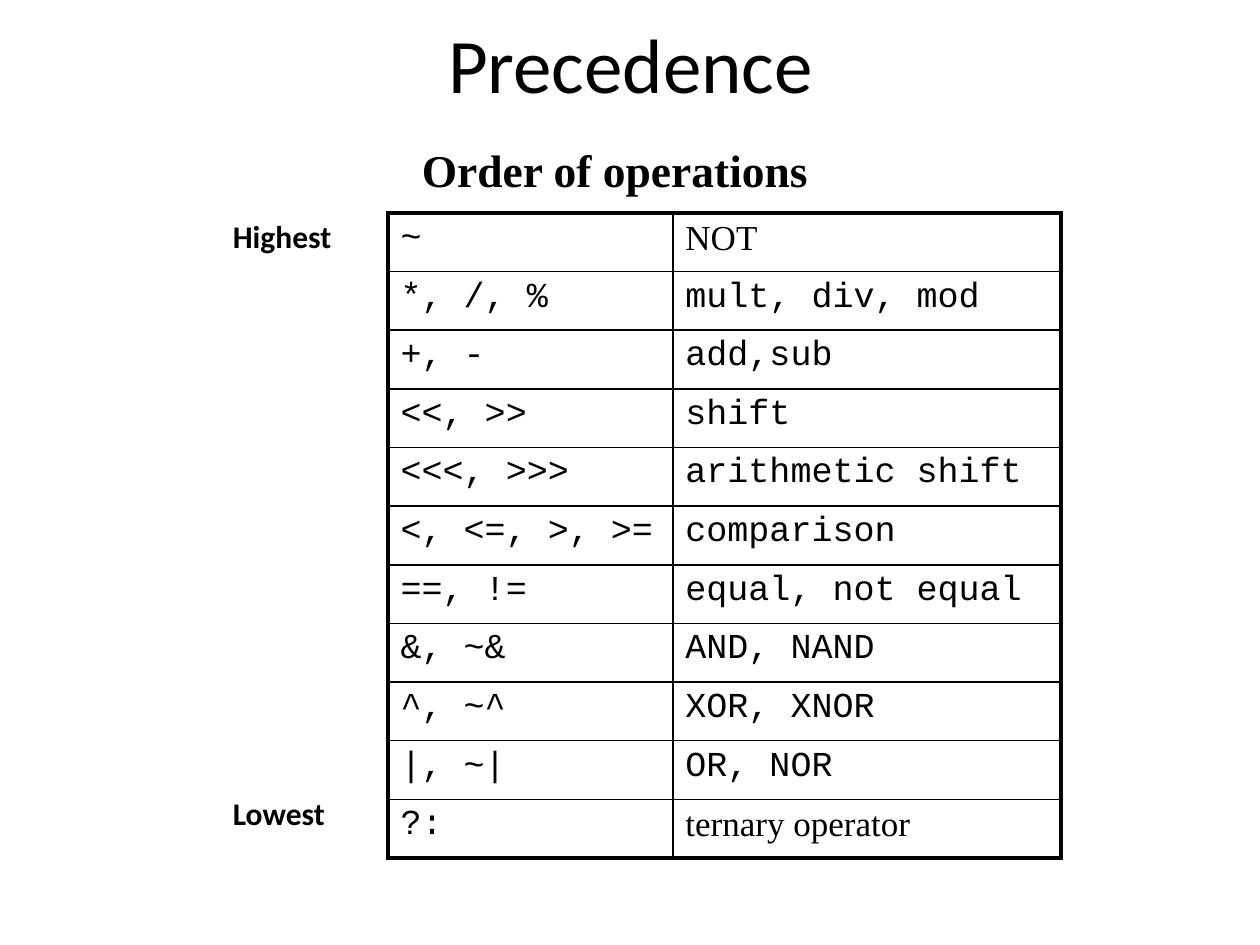
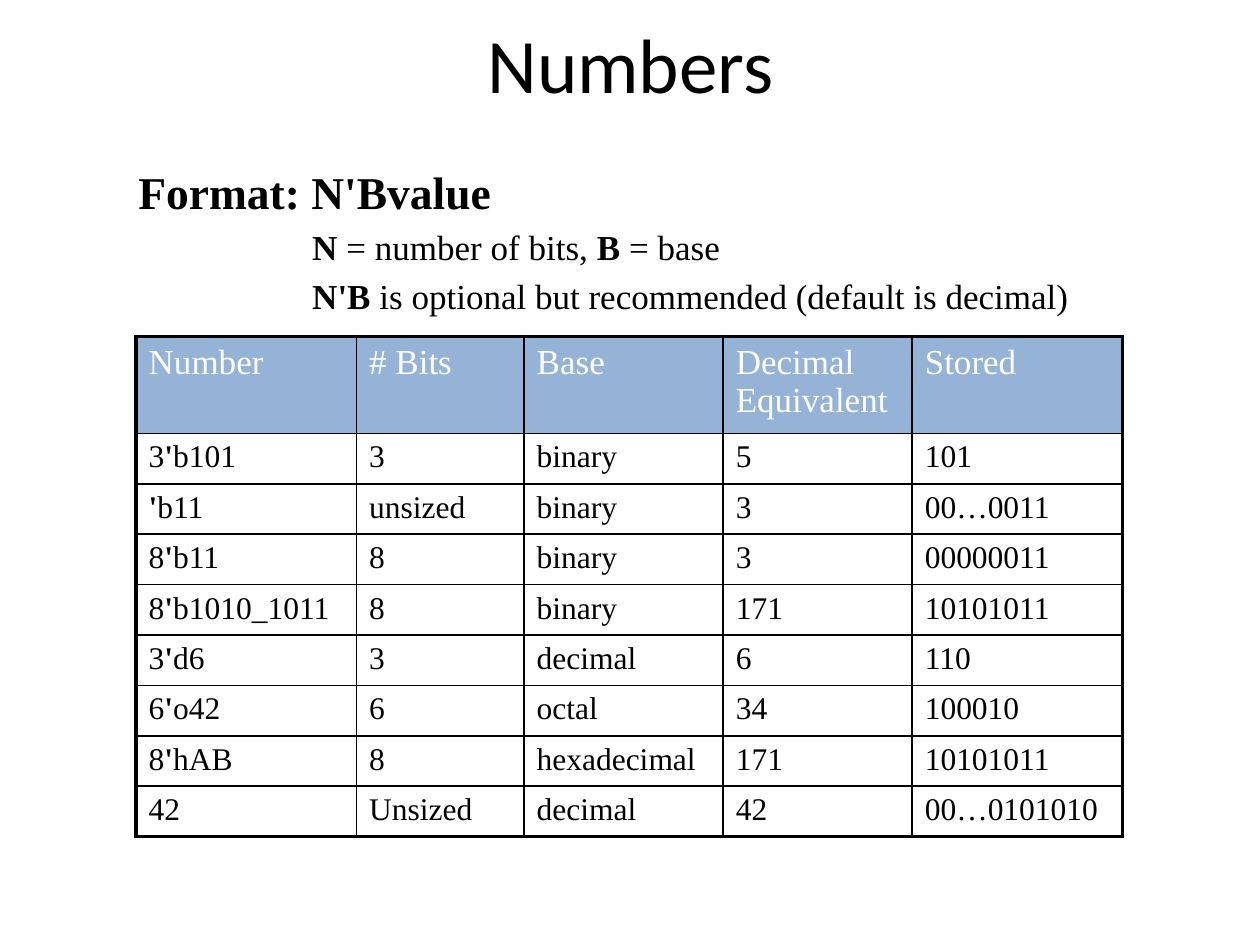
"""Build two lecture slides on operator precedence and number literals."""
from dataclasses import dataclass

from lxml import etree
from pptx import Presentation
from pptx.dml.color import RGBColor
from pptx.enum.text import MSO_ANCHOR, PP_ALIGN
from pptx.oxml.ns import qn
from pptx.util import Inches, Pt

CENTER = PP_ALIGN.CENTER
MIDDLE = MSO_ANCHOR.MIDDLE
TITLE_ONLY = 5

COLORS = {"ink": "000000", "paper": "FFFFFF", "header": "95B3D7"}
SANS, SERIF, MONO = "Calibri", "Times New Roman", "Courier New"
OUTER_LINE, INNER_LINE = Pt(2.25), Pt(1)


@dataclass(frozen=True)
class Line:
    """A paragraph whose pieces alternate between regular and bold."""
    pieces: tuple[str, ...]
    font: str = SERIF
    size: int = 20
    color: str = "ink"
    indent: float = 0
    before: float = 0


@dataclass(frozen=True)
class Note:
    """A text box with its place in inches."""
    left: float
    top: float
    width: float
    height: float
    lines: tuple[Line, ...]


@dataclass(frozen=True)
class Grid:
    """A bordered table with its place, column widths and row heights in inches."""
    left: float
    top: float
    columns: tuple[float, ...]
    heights: tuple[float, ...]
    rows: list[list[Line]]
    header_fill: str | None = None


def rgb(name: str) -> RGBColor:
    """Look up a named colour."""
    return RGBColor.from_string(COLORS[name])


def write_line(paragraph, line: Line) -> None:
    """Fill a paragraph, setting bold on every second piece."""
    if line.indent:
        paragraph._p.get_or_add_pPr().set("marL", str(Inches(line.indent)))
    if line.before:
        paragraph.space_before = Pt(line.before)
    paragraph.font.name = line.font
    paragraph.font.size = Pt(line.size)
    paragraph.font.color.rgb = rgb(line.color)
    for index, piece in enumerate(line.pieces):
        if piece:
            run = paragraph.add_run()
            run.text = piece
            run.font.bold = index % 2 == 1


def add_border(cell, side: str, width: int) -> None:
    """Draw one side of a cell."""
    border = etree.SubElement(cell._tc.get_or_add_tcPr(), qn(f"a:ln{side}"), w=str(width))
    fill = etree.SubElement(border, qn("a:solidFill"))
    etree.SubElement(fill, qn("a:srgbClr"), val=COLORS["ink"])


def add_titled_slide(deck, title: str):
    """Add a slide with the shared title style."""
    slide = deck.slides.add_slide(deck.slide_layouts[TITLE_ONLY])
    heading = slide.shapes.title
    heading.left, heading.top = Inches(0.67), Inches(0.08)
    heading.width, heading.height = Inches(8.67), Inches(0.84)
    heading.text_frame.vertical_anchor = MIDDLE
    paragraph = heading.text_frame.paragraphs[0]
    paragraph.alignment = CENTER
    write_line(paragraph, Line((title,), SANS, 44))
    return slide


def add_note(slide, note: Note) -> None:
    """Add a wrapped text box."""
    box = slide.shapes.add_textbox(
        Inches(note.left), Inches(note.top), Inches(note.width), Inches(note.height))
    frame = box.text_frame
    frame.word_wrap = True
    for index, line in enumerate(note.lines):
        write_line(frame.add_paragraph() if index else frame.paragraphs[0], line)


def add_grid(slide, grid: Grid) -> None:
    """Add a table with a heavy outline and thin inner lines."""
    last_row, last_column = len(grid.rows) - 1, len(grid.columns) - 1
    table = slide.shapes.add_table(
        len(grid.rows), len(grid.columns), Inches(grid.left), Inches(grid.top),
        Inches(sum(grid.columns)), Inches(sum(grid.heights))).table
    table.first_row = table.horz_banding = False
    for column, width in zip(table.columns, grid.columns):
        column.width = Inches(width)
    for row, height in zip(table.rows, grid.heights):
        row.height = Inches(height)
    for r, row_lines in enumerate(grid.rows):
        for c, line in enumerate(row_lines):
            cell = table.cell(r, c)
            edges = {"L": c == 0, "R": c == last_column, "T": r == 0, "B": r == last_row}
            for side, is_outer in edges.items():
                add_border(cell, side, OUTER_LINE if is_outer else INNER_LINE)
            if r == 0 and grid.header_fill:
                cell.fill.solid()
                cell.fill.fore_color.rgb = rgb(grid.header_fill)
            else:
                cell.fill.background()
            write_line(cell.text_frame.paragraphs[0], line)


OPERATORS = [
    ("~", "NOT"),
    ("*, /, %", "mult, div, mod"),
    ("+, -", "add,sub"),
    ("<<, >>", "shift"),
    ("<<<, >>>", "arithmetic shift"),
    ("<, <=, >, >=", "comparison"),
    ("==, !=", "equal, not equal"),
    ("&, ~&", "AND, NAND"),
    ("^, ~^", "XOR, XNOR"),
    ("|, ~|", "OR, NOR"),
    ("?:", "ternary operator"),
]
SERIF_MEANINGS = {"NOT", "ternary operator"}

NUMBER_HEADINGS = ("Number", "# Bits", "Base", "Decimal Equivalent", "Stored")
NUMBERS = [
    ("3'b101", "3", "binary", "5", "101"),
    ("'b11", "unsized", "binary", "3", "00…0011"),
    ("8'b11", "8", "binary", "3", "00000011"),
    ("8'b1010_1011", "8", "binary", "171", "10101011"),
    ("3'd6", "3", "decimal", "6", "110"),
    ("6'o42", "6", "octal", "34", "100010"),
    ("8'hAB", "8", "hexadecimal", "171", "10101011"),
    ("42", "Unsized", "decimal", "42", "00…0101010"),
]


def build_precedence(deck) -> None:
    """Build the operator precedence slide."""
    slide = add_titled_slide(deck, "Precedence")
    rows = [[Line((text,), SERIF if text in SERIF_MEANINGS else MONO) for text in pair]
            for pair in OPERATORS]
    heights = (5.12 / len(rows),) * len(rows)
    add_grid(slide, Grid(3.08, 1.69, (2.26, 3.08), heights, rows))
    add_note(slide, Note(3.25, 1.08, 5.67, 5.42, (Line(("", "Order of operations"), size=26),)))
    for rank, top in (("Highest", 1.67), ("Lowest", 6.25)):
        add_note(slide, Note(1.75, top, 1.92, 0.4, (Line(("", rank), SANS, 18),)))


def build_numbers(deck) -> None:
    """Build the number literal slide."""
    slide = add_titled_slide(deck, "Numbers")
    rows = [[Line((heading,), color="paper") for heading in NUMBER_HEADINGS]]
    rows += [[Line(text.partition("'"), size=18) for text in number] for number in NUMBERS]
    heights = (0.77,) + (0.4,) * len(NUMBERS)
    add_grid(slide, Grid(1.08, 2.67, (1.75, 1.33, 1.58, 1.5, 1.67), heights, rows, "header"))
    add_note(slide, Note(1, 1.25, 8.5, 5.42, (
        Line(("", "Format: N'Bvalue"), size=26),
        Line(("", "N", " = number of bits, ", "B", " = base"), indent=1.38, before=4),
        Line(("", "N'B", " is optional but recommended (default is decimal)"),
             indent=1.38, before=4),
    )))


def main() -> None:
    """Build and save the deck."""
    deck = Presentation()
    deck.slide_width, deck.slide_height = Inches(10), Inches(7.5)
    build_precedence(deck)
    build_numbers(deck)
    deck.save("out.pptx")


if __name__ == "__main__":
    main()
